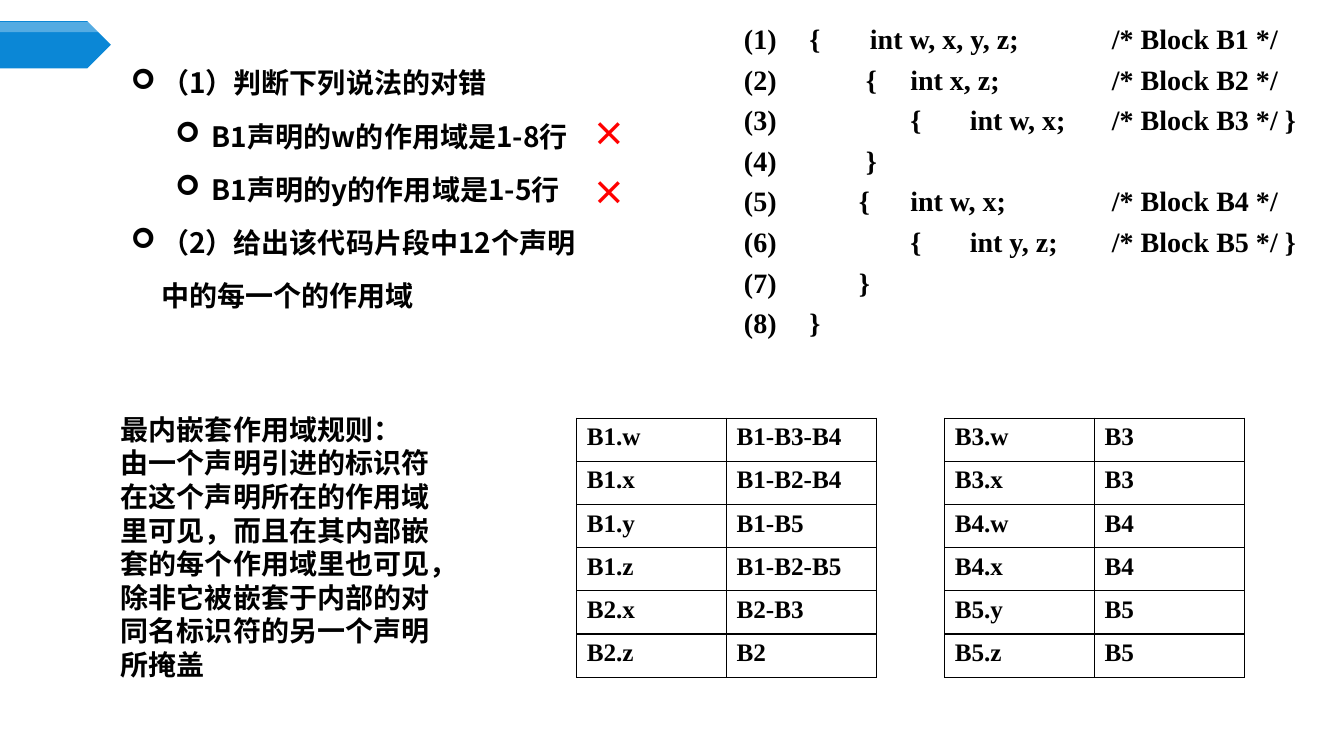
from lxml import etree
from pptx import Presentation
from pptx.dml.color import RGBColor
from pptx.enum.shapes import MSO_SHAPE
from pptx.oxml.ns import qn
from pptx.util import Inches, Pt

PENTAGON = MSO_SHAPE.PENTAGON
SERIF, SANS, ROUND = "Times New Roman", "Noto Sans CJK SC", "Karla"
BLACK, WHITE, BLUE, RED = "000000", "FFFFFF", "0B87D6", "FF0000"
GRID = Inches(0.1)  # the slide is 133.3 columns by 75 rows

# Code lines: tab stops in inches, then the texts that stand at them
DECL, NOTE = 1.65, 3.65
CODE = [
    [(0.65, "{"), (1.25, "int w, x, y, z;"), (NOTE, "/* Block B1 */")],
    [(1.21, "{"), (DECL, "int x, z;"), (NOTE, "/* Block B2 */")],
    [(DECL, "{"), (2.24, "int w, x;"), (NOTE, "/* Block B3 */ }")],
    [(1.21, "}")],
    [(1.14, "{"), (DECL, "int w, x;"), (NOTE, "/* Block B4 */")],
    [(DECL, "{"), (2.24, "int y, z;"), (NOTE, "/* Block B5 */ }")],
    [(1.14, "}")],
    [(0.65, "}")],
]
QUESTIONS = [  # level, runs of (text, font)
    (0, [("（", ROUND), ("1）判断下列说法的对错", SANS)]),
    (1, [(" B1声明的w的作用域是1-8行", SANS)]),
    (1, [(" B1声明的y的作用域是1-5行", SANS)]),
    (0, [("（2）给出该代码片段中12个声明中的每一个的作用域", SANS)]),
]
RULE_TITLE = "最内嵌套作用域规则："
RULE = ("由一个声明引进的标识符在这个声明所在的作用域里可见，而且在其内部嵌套的"
        "每个作用域里也可见，除非它被嵌套于内部的对同名标识符的另一个声明所掩盖")
SCOPES_LEFT = [("B1.w", "B1-B3-B4"), ("B1.x", "B1-B2-B4"), ("B1.y", "B1-B5"),
               ("B1.z", "B1-B2-B5"), ("B2.x", "B2-B3"), ("B2.z", "B2")]
SCOPES_RIGHT = [(name, name[:2]) for name in
                ("B3.w", "B3.x", "B4.w", "B4.x", "B5.y", "B5.z")]


def rgb(color):
    return RGBColor.from_string(color)


def place(*cells):
    return [int(c * GRID) for c in cells]


def sub(parent, tag, **attrs):
    return etree.SubElement(parent, qn(tag), {k: str(v) for k, v in attrs.items()})


def add_run(p, text, size, font, color=BLACK):
    r = p.add_run()
    r.text = text
    r.font.size, r.font.bold, r.font.name = Pt(size), True, font
    r.font.color.rgb = rgb(color)
    sub(r._r.get_or_add_rPr(), "a:ea", typeface=font)


def add_box(s, *cells):
    tf = s.shapes.add_textbox(*place(*cells)).text_frame
    tf.word_wrap = True
    return tf


def paragraphs(tf, items):
    """Pair each item with a paragraph, reusing the first empty one."""
    for i, item in enumerate(items):
        yield (tf.add_paragraph() if i else tf.paragraphs[0]), item


def add_pentagon(s, cells, color, alpha=None):
    sp = s.shapes.add_shape(PENTAGON, *place(*cells))
    sp.shadow.inherit = False
    sp.line.fill.background()
    sp.fill.solid()
    sp.fill.fore_color.rgb = rgb(color)
    if alpha:
        clr = sp._element.spPr.find(".//" + qn("a:srgbClr"))
        sub(clr, "a:alpha", val=alpha * 1000)


def add_code(s, cells, lines):
    tf = add_box(s, *cells)
    for number, (p, parts) in enumerate(paragraphs(tf, lines), 1):
        p.line_spacing, p.space_before = Pt(25), Pt(4)
        tabs = sub(p._p.get_or_add_pPr(), "a:tabLst")
        for stop, _ in parts:
            sub(tabs, "a:tab", pos=Inches(stop), algn="l")
        texts = [f"({number})"] + [text for _, text in parts]
        add_run(p, "\t".join(texts), 20, SERIF)


def add_bullets(s, cells, items):
    tf = add_box(s, *cells)
    for p, (level, runs) in paragraphs(tf, items):
        p.level, p.line_spacing = level, Pt(38)
        pPr = p._p.get_or_add_pPr()
        pPr.set("marL", str(Inches(0.3 + 0.44 * level)))
        pPr.set("indent", str(Inches(-0.3)))
        sub(pPr, "a:buFont", typeface="Wingdings")
        sub(pPr, "a:buChar", char="➢")
        for text, font in runs:
            add_run(p, text, 20, font)


def add_plain(s, cells, lines, size, color=BLACK):
    p = add_box(s, *cells).paragraphs[0]
    p.line_spacing = Pt(size * 1.2)
    for i, line in enumerate(lines):
        if i:
            p.add_line_break()
        add_run(p, line, size, SANS, color)


def set_borders(cell):
    tcPr = cell._tc.get_or_add_tcPr()
    for i, side in enumerate("LRTB"):
        ln = sub(tcPr, "a:ln" + side, w=Pt(1))
        sub(sub(ln, "a:solidFill"), "a:srgbClr", val=BLACK)
        tcPr.insert(i, ln)  # borders come before the fill


def add_scopes(s, col, row, data):
    width, height = 14.85, 4.28
    frame = s.shapes.add_table(len(data), 2, *place(
        col, row, 2 * width, len(data) * height))
    table = frame.table
    table.first_row = table.horz_banding = False
    for i, texts in enumerate(data):
        for j, text in enumerate(texts):
            cell = table.cell(i, j)
            cell.fill.background()
            set_borders(cell)
            add_run(cell.text_frame.paragraphs[0], text, 18, SERIF)


def main():
    prs = Presentation()
    prs.slide_width, prs.slide_height = Inches(13.33), Inches(7.5)
    s = prs.slides.add_slide(prs.slide_layouts[6])

    # Corner marker
    add_pentagon(s, (0, 2.1, 11, 4.7), BLUE)
    add_pentagon(s, (0, 2.2, 11, 1), WHITE, alpha=30)

    # Code and questions
    add_code(s, (72.8, 1.5, 58.9, 35.1), CODE)
    add_bullets(s, (12, 4.1, 48.5, 32.6), QUESTIONS)

    # Scope tables
    for col, data in ((57.2, SCOPES_LEFT), (93.7, SCOPES_RIGHT)):
        add_scopes(s, col, 41.5, data)

    # Scope rule
    add_plain(s, (11, 40.4, 33.9, 27.9), [RULE_TITLE, RULE], 20)

    # Crosses marking the wrong statements
    for row in (10.7, 16.6):
        add_plain(s, (57.8, row, 8, 5), ["×"], 24, RED)

    prs.save("out.pptx")


main()
